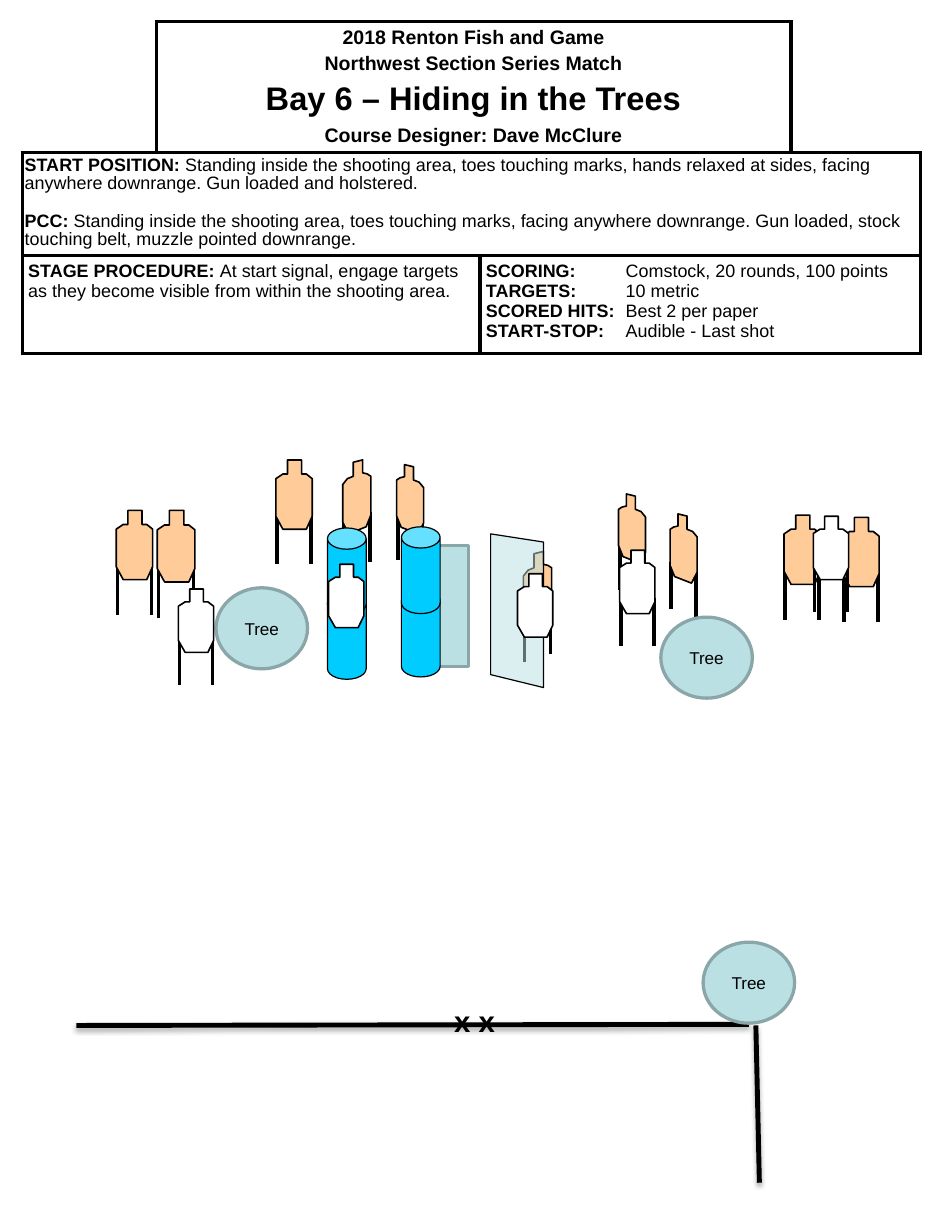
from lxml import etree
from pptx import Presentation
from pptx import util as u
from pptx.dml.color import RGBColor
from pptx.enum import shapes, text
from pptx.oxml import ns

PX = 9144  # 100 px to the inch
BLACK = RGBColor(0, 0, 0)
WHITE = RGBColor(255, 255, 255)
TAN = RGBColor(0xFF, 0xCC, 0x99)
TEAL = RGBColor(0xBB, 0xE0, 0xE3)
TEAL_EDGE = RGBColor(0x8A, 0xA6, 0xA8)
BLUE = RGBColor(0, 0xCC, 0xFF)

prs = Presentation()
prs.slide_width, prs.slide_height = 800 * PX, 1050 * PX
slide = prs.slides.add_slide(prs.slide_layouts[6])


def paint(s, fill, line, width):
    s.shadow.inherit = False
    s.fill.solid()
    s.fill.fore_color.rgb = fill
    s.line.color.rgb = line
    s.line.width = u.Pt(width)


def add_line(x1, y1, x2, y2, width):
    """Draw a black line and return its empty effect list."""
    c = slide.shapes.add_connector(
        shapes.MSO_CONNECTOR.STRAIGHT, *(round(v * PX) for v in (x1, y1, x2, y2)))
    c.line.color.rgb = BLACK
    c.line.width = u.Pt(width)
    return etree.SubElement(c._element.spPr, ns.qn("a:effectLst"))


# Stage description table
table = slide.shapes.add_table(3, 4, 19 * PX, 18 * PX, 765 * PX, 283 * PX).table
table.first_row = table.horz_banding = False
for col, width in zip(table.columns, (114, 276, 265, 110)):
    col.width = width * PX
for row, height in zip(table.rows, (112, 88, 83)):
    row.height = height * PX

EDGES = {(0, 0): "RB", (0, 3): "LB"}
for r in range(3):
    for c in range(4):
        cell = table.cell(r, c)
        tcPr = cell._tc.get_or_add_tcPr()
        for side in "LRTB":
            ln = etree.SubElement(tcPr, ns.qn("a:ln" + side), w=str(u.Pt(2.25)))
            if side in EDGES.get((r, c), "LRTB"):
                fill = etree.SubElement(ln, ns.qn("a:solidFill"))
                etree.SubElement(fill, ns.qn("a:srgbClr"), val=str(BLACK))
            else:
                etree.SubElement(ln, ns.qn("a:noFill"))
        cell.fill.solid()
        cell.fill.fore_color.rgb = WHITE

# first row, first column, last column, margins, (bold, plain, size, space before)
CELLS = [
    (0, 1, 2, (5, 5), [
        ("2018 Renton Fish and Game", "", 12, 0),
        ("Northwest Section Series Match", "", 12, 2.4),
        ("Bay 6 – Hiding in the Trees", "", 20, 4),
        ("Course Designer: Dave McClure", "", 12, 4.2)]),
    (1, 0, 3, (2, 4), [
        ("START POSITION:", " Standing inside the shooting area, toes touching marks, "
         "hands relaxed at sides, facing anywhere downrange. Gun loaded and holstered.", 11, 0),
        ("PCC: ", "Standing inside the shooting area, toes touching marks, facing anywhere "
         "downrange. Gun loaded, stock touching belt, muzzle pointed downrange.", 11, 12.5)]),
    (2, 0, 1, (5, 5), [
        ("STAGE PROCEDURE: ", "At start signal, engage targets as they become visible "
         "from within the shooting area.", 11, 0)]),
    (2, 2, 3, (5, 5), [
        ("SCORING:", "\tComstock, 20 rounds, 100 points", 11, 0),
        ("TARGETS:", "\t10 metric", 11, 0),
        ("SCORED HITS:", "\tBest 2 per paper", 11, 0),
        ("START-STOP:", "\tAudible - Last shot", 11, 0)]),
]
for row, first, last, (mx, my), paragraphs in CELLS:
    cell = table.cell(row, first)
    cell.merge(table.cell(row, last))
    cell.margin_left = cell.margin_right = mx * PX
    cell.margin_top = cell.margin_bottom = my * PX
    tf = cell.text_frame
    if row == 0:
        cell.vertical_anchor = text.MSO_ANCHOR.MIDDLE
    for i, (bold, plain, size, before) in enumerate(paragraphs):
        p = tf.add_paragraph() if i else tf.paragraphs[0]
        if row == 0:
            p.alignment = text.PP_ALIGN.CENTER
        if row == 1:
            p.line_spacing = 0.9
        if before:
            p.space_before = u.Pt(before)
        if plain.startswith("\t"):
            tabs = etree.SubElement(p._p.get_or_add_pPr(), ns.qn("a:tabLst"))
            etree.SubElement(tabs, ns.qn("a:tab"), pos=str(119 * PX), algn="l")
        p.font.name, p.font.size, p.font.color.rgb = "Arial", u.Pt(size), BLACK
        for words, is_bold in ((bold, True), (plain, False)):
            if words:
                run = p.add_run()
                run.text = words
                run.font.bold = is_bold

# Shooting area edges
for ends in ((644, 874, 647, 1008), (638, 873, 65, 874)):
    effects = add_line(*ends, 3)
    shadow = etree.SubElement(effects, ns.qn("a:outerShdw"), blurRad=str(u.Pt(3.1)),
                              dist=str(u.Pt(1.8)), dir="5400000", rotWithShape="0")
    color = etree.SubElement(shadow, ns.qn("a:srgbClr"), val=str(BLACK))
    etree.SubElement(color, ns.qn("a:alpha"), val="35000")

# Outlines as (width, height, points, legs); a leg is (x, top, bottom)
FRONT = (31, 59, [(10, 0), (22, 0), (22, 12), (26, 12), (31, 16), (31, 48), (26, 59),
                  (6, 59), (0, 48), (0, 16), (6, 12), (10, 12)],
         [(1, 44, 89), (30, 44, 89)])
SIDE = (24, 63, [(9, 2), (17, 0), (17, 11), (21, 12), (24, 14), (24, 47), (20, 57),
                 (5, 63), (0, 53), (0, 21), (4, 16), (9, 14)],
        [(1, 51, 94), (23, 44, 87)])
PANEL = (45, 131, [(45, 7), (0, 0), (0, 120), (45, 131)], [])
# outline, fill, line width, mirrored, with legs
OUTLINES = {
    "target": (FRONT, TAN, 1, False, True),
    "no-shoot": (FRONT, WHITE, 1, False, True),
    "hung no-shoot": (FRONT, WHITE, 1, False, False),
    "right turned": (SIDE, TAN, 1, False, True),
    "left turned": (SIDE, TAN, 1, True, True),
    "panel": (PANEL, TEAL, 0.75, False, False),
}
PRESETS = {
    "tree": (shapes.MSO_SHAPE.OVAL, TEAL, TEAL_EDGE, 2),
    "wall": (shapes.MSO_SHAPE.RECTANGLE, TEAL, TEAL_EDGE, 2),
    "barrel": (shapes.MSO_SHAPE.CAN, BLUE, BLACK, 0.75),
}
SCENE = [  # back to front
    ("right turned", 292, 392, 24, 63), ("left turned", 527, 421, 23, 59),
    ("left turned", 571, 438, 23, 59), ("right turned", 446, 470, 24, 63),
    ("target", 99, 435, 31, 59), ("target", 134, 435, 32, 61),
    ("left turned", 338, 396, 23, 59), ("tree", 599, 803, 78, 69),
    ("panel", 418, 455, 45, 131), ("tree", 184, 501, 78, 69),
    ("tree", 563, 526, 78, 69), ("target", 668, 439, 31, 59),
    ("target", 718, 441, 31, 59), ("no-shoot", 693, 440, 30, 54),
    ("barrel", 279, 505, 33, 74), ("barrel", 279, 450, 33, 74),
    ("wall", 358, 465, 41, 103),
    ("barrel", 342, 503, 33, 74), ("barrel", 342, 449, 33, 74),
    ("hung no-shoot", 441, 489, 30, 54), ("no-shoot", 528, 469, 30, 54),
    ("hung no-shoot", 280, 481, 30, 54), ("no-shoot", 152, 502, 30, 54),
    ("target", 235, 392, 31, 59),
]
for kind, x, y, w, h in SCENE:
    if kind in PRESETS:
        preset, fill, line, width = PRESETS[kind]
        s = slide.shapes.add_shape(preset, x * PX, y * PX, w * PX, h * PX)
        paint(s, fill, line, width)
        if kind == "barrel":
            s.adjustments[0] = 0.55
        if kind == "tree":
            s.text_frame.vertical_anchor = text.MSO_ANCHOR.MIDDLE
            p = s.text_frame.paragraphs[0]
            p.text = "Tree"
            p.alignment = text.PP_ALIGN.CENTER
            p.font.name, p.font.size, p.font.color.rgb = "Arial", u.Pt(10.5), BLACK
        continue
    (base_w, base_h, points, legs), fill, width, mirrored, standing = OUTLINES[kind]
    x0, sx, sy = x, w / base_w, h / base_h
    if mirrored:
        x0, sx = x + w, -sx
    if standing:
        for lx, top, bottom in legs:
            add_line(x0 + lx * sx, y + top * sy, x0 + lx * sx, y + bottom * sy, 2.25)
    corners = [(round((x0 + a * sx) * PX), round((y + b * sy) * PX)) for a, b in points]
    builder = slide.shapes.build_freeform(*corners[0])
    builder.add_line_segments(corners[1:], close=True)
    s = builder.convert_to_shape()
    paint(s, fill, BLACK, width)
    if kind == "panel":
        color = s._element.spPr.find(ns.qn("a:solidFill"))[0]
        etree.SubElement(color, ns.qn("a:alpha"), val="50000")

# Start marks
tf = slide.shapes.add_textbox(377 * PX, 850 * PX, 61 * PX, 40 * PX).text_frame
tf.word_wrap = True
p = tf.paragraphs[0]
p.text = "x x"
p.font.name, p.font.size, p.font.bold, p.font.color.rgb = "Arial", u.Pt(18), True, BLACK

prs.save("out.pptx")
